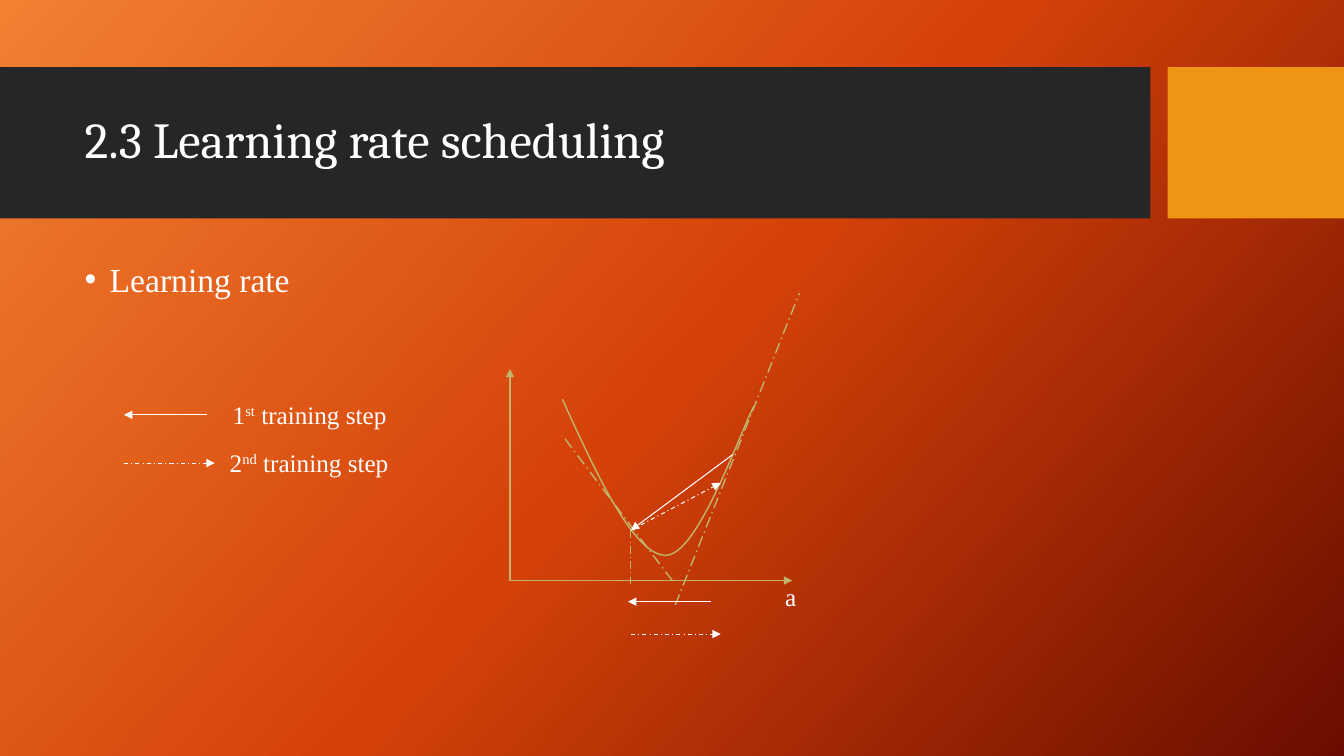
from lxml.etree import SubElement
from pptx import Presentation
from pptx.dml.color import RGBColor
from pptx.enum.dml import MSO_LINE
from pptx.enum.shapes import MSO_CONNECTOR, MSO_SHAPE
from pptx.enum.text import MSO_ANCHOR, PP_ALIGN
from pptx.oxml.ns import qn
from pptx.util import Pt

WHITE, KHAKI = "FFFFFF", "C1B56B"
SERIF = "Times New Roman"
STEP, LONG = MSO_LINE.DASH_DOT, MSO_LINE.LONG_DASH_DOT


def color(code):
    return RGBColor.from_string(code)


def write(shape, runs, size=18, font=SERIF, anchor=MSO_ANCHOR.TOP,
          wrap=False, space=1.0, bullet=None):
    """Fill a shape with one paragraph; runs are (text, raised) pairs."""
    frame = shape.text_frame
    frame.word_wrap = wrap
    frame.vertical_anchor = anchor
    para = frame.paragraphs[0]
    para.alignment = PP_ALIGN.LEFT
    para.line_spacing = space
    if bullet:
        props = para._p.get_or_add_pPr()
        props.set("marL", str(Pt(18)))
        props.set("indent", str(Pt(-18)))
        SubElement(props, qn("a:buFont"), typeface="Arial")
        SubElement(props, qn("a:buChar"), char=bullet)
    for text, raised in runs:
        run = para.add_run()
        run.text = text
        run.font.size = Pt(size)
        run.font.name = font
        run.font.color.rgb = color(WHITE)
        if raised:
            run._r.get_or_add_rPr().set("baseline", "30000")


def add_text(slide, box, runs, **style):
    write(slide.shapes.add_textbox(*map(Pt, box)), runs, **style)


def add_block(slide, box, code):
    block = slide.shapes.add_shape(MSO_SHAPE.RECTANGLE, *map(Pt, box))
    block.shadow.inherit = False
    block.fill.solid()
    block.fill.fore_color.rgb = color(code)
    block.line.fill.background()


def add_line(slide, start, end, code=WHITE, width=0.75, dash=None, head=True):
    line = slide.shapes.add_connector(
        MSO_CONNECTOR.STRAIGHT, *map(Pt, (*start, *end)))
    line.line.color.rgb = color(code)
    line.line.width = Pt(width)
    if dash:
        line.line.dash_style = dash
    if head:
        SubElement(line.line._get_or_add_ln(), qn("a:tailEnd"), type="triangle")
    SubElement(line._element.spPr, qn("a:effectLst"))


def bezier(ends, count=24):
    """Points along a cubic curve, without its first point."""
    for i in range(1, count + 1):
        t = i / count
        parts = ((1 - t) ** 3, 3 * t * (1 - t) ** 2, 3 * t * t * (1 - t), t ** 3)
        yield tuple(sum(w * p[axis] for w, p in zip(parts, ends))
                    for axis in (0, 1))


def paint(slide):
    """Diagonal background gradient."""
    fill = slide.background.fill
    fill.gradient()
    grad = slide._element.cSld.find(".//" + qn("a:gradFill"))
    for child in list(grad):
        grad.remove(child)
    stops = SubElement(grad, qn("a:gsLst"))
    for place, code in ((0, "F18031"), (50, "D54209"), (100, "6A0D00")):
        stop = SubElement(stops, qn("a:gs"), pos=str(place * 1000))
        SubElement(stop, qn("a:srgbClr"), val=code)
    SubElement(grad, qn("a:lin"), ang=str(42 * 60000), scaled="0")


def add_banner(slide, box):
    left, top, width, height = box
    side, gap = 126, 12.2
    add_block(slide, (left, top, width - side - gap, height), "262626")
    add_block(slide, (left + width - side, top, side, height), "F09415")
    title = slide.shapes.title
    slide.shapes._spTree.append(title._element)  # bring above the band
    title.left, title.top = Pt(left + 53.3), Pt(top + 10.8)
    title.width, title.height = Pt(756.7), Pt(85)
    write(title, [("2.3 Learning rate scheduling", False)], size=36,
          font="Cambria", anchor=MSO_ANCHOR.MIDDLE, wrap=True, space=0.9)


def add_legend(slide, box):
    left, top, width, height = box
    rows = (("1", "st", 59, 0, None, 70.5), ("2", "nd", 0, 64.8, STEP, 68.4))
    for i, (digit, mark, start, end, dash, indent) in enumerate(rows):
        y = top + i * height / len(rows)
        add_line(slide, (left + start, y + 14.8), (left + end, y + 14.8),
                 dash=dash)
        add_text(slide, (left + indent, y, width - indent, 28.8),
                 [(digit, False), (mark, True), (" training step", False)])


def add_plot(slide, box):
    left, top, width, height = box

    def at(x, y):
        return left + x, top + y

    def line(start, end, **style):
        add_line(slide, at(*start), at(*end), **style)

    # Axes
    line((0, height), (width, height), code=KHAKI)
    line((0, height), (0, 0), code=KHAKI)
    add_text(slide, (*at(189.4, 148.3), 24.5, 28.8), [("a", False)])

    # Loss curve
    knots = [at(*p) for p in (
        (37.4, 21.6), (62.6, 77.1), (88.6, 132.5), (110.9, 133.2),
        (133.9, 133.9), (163.4, 47.5), (174.2, 26.6))]
    points = [*bezier(knots[:4]), *bezier(knots[3:])]
    form = slide.shapes.build_freeform(*map(Pt, knots[0]), scale=1.0)
    form.add_line_segments([(Pt(x), Pt(y)) for x, y in points], close=False)
    curve = form.convert_to_shape()
    curve.shadow.inherit = False
    curve.fill.background()
    curve.line.color.rgb = color(KHAKI)
    curve.line.width = Pt(1)

    # Drop line and tangents
    low = (86.4, 115.2)
    guide = dict(code=KHAKI, dash=LONG, head=False)
    line(low, (low[0], 153.4), **guide)
    line((118.1, 168.5), (206.7, -54), width=1, **guide)
    line((115.9, height), (37.4, 47.5), width=1, **guide)

    # Training steps, below the axis and on the curve
    line((143.3, 166.3), (84.3, 166.3))
    line((159.1, 61.2), low)
    line((low[0], 189.4), (150.5, 189.4), dash=STEP)
    line(low, (150.5, 81.4), dash=STEP)


def main():
    deck = Presentation()
    deck.slide_width, deck.slide_height = Pt(960), Pt(540)
    slide = deck.slides.add_slide(deck.slide_layouts[5])
    paint(slide)
    add_banner(slide, (0, 48, 960, 108))
    add_text(slide, (53.3, 184.3, 756.7, 283.7), [("Learning rate", False)],
             size=24, wrap=True, space=0.9, bullet="•")
    add_plot(slide, (364.3, 263.5, 201.6, 151.2))
    add_legend(slide, (88.6, 281.5, 198, 69))
    deck.save("out.pptx")


if __name__ == "__main__":
    main()
